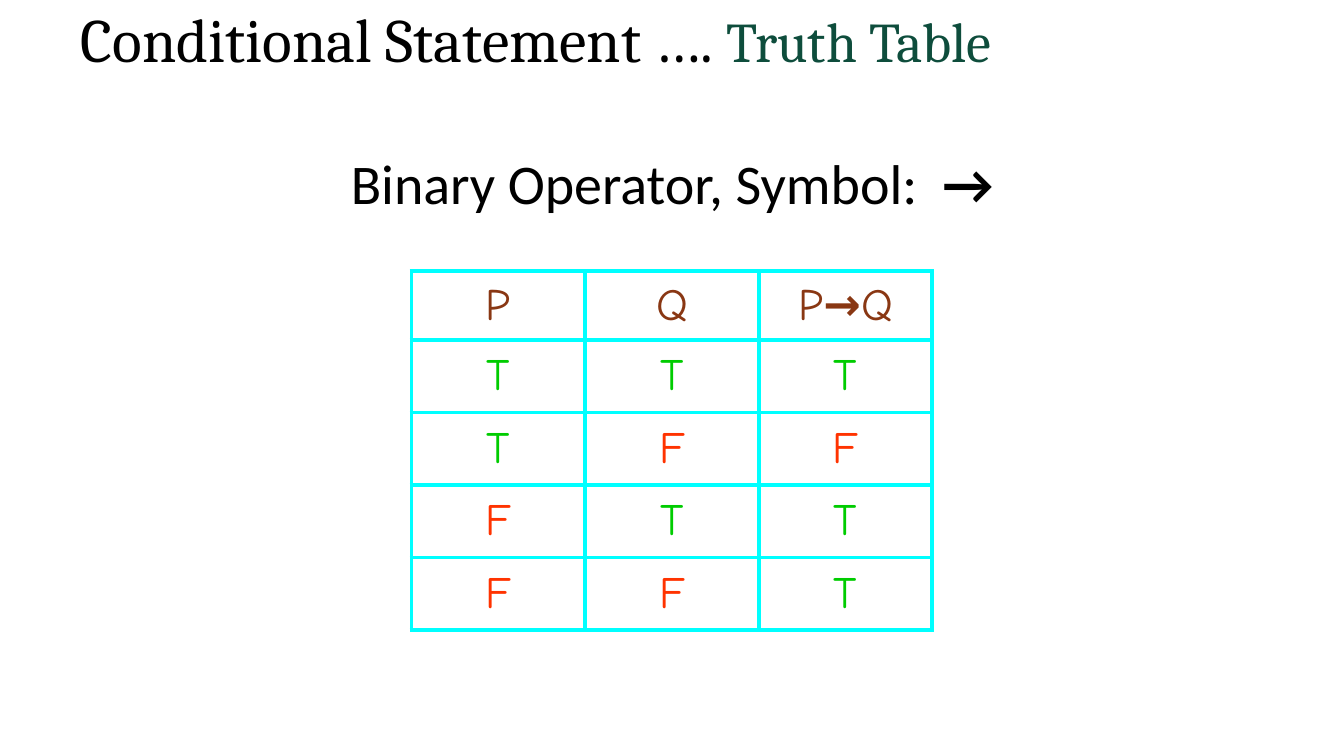
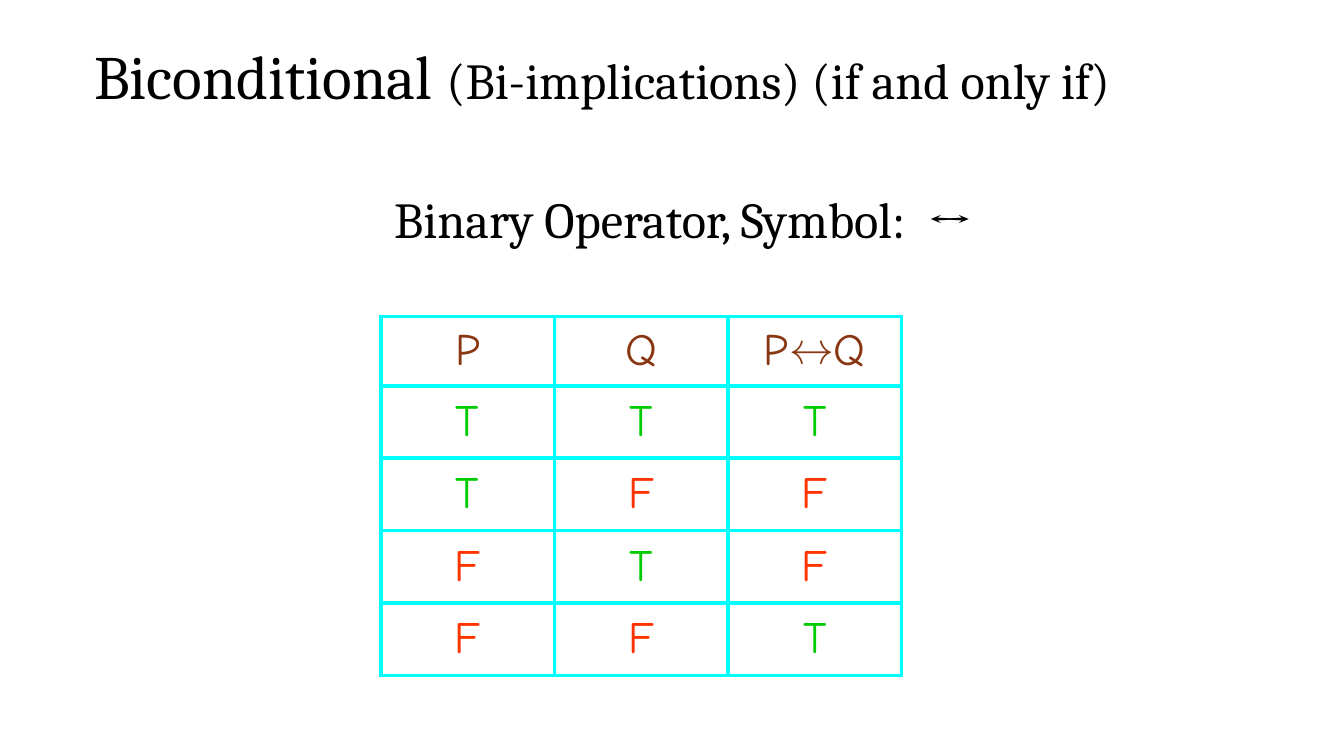
from dataclasses import dataclass
from itertools import product

from lxml import etree
from pptx import Presentation
from pptx.dml.color import RGBColor
from pptx.enum import text
from pptx.oxml import ns
from pptx.util import Pt


@dataclass(frozen=True)
class Theme:
    ink: str = "000000"
    accent: str = "0E4D3C"
    heading: str = "893713"
    true: str = "00CC00"
    false: str = "FF3300"
    grid: str = "00FFFF"
    serif: str = "Cambria"
    sans: str = "Calibri"
    hand: str = "Comic Neue"
    title_size: int = 44
    large: int = 40
    medium: int = 36
    cell_size: int = 32
    grid_width: int = 3
    line_spacing: float = 0.9


THEME = Theme()
COLUMN_WIDTH = 124
HEADER_HEIGHT = 49.5
ROW_HEIGHT = 51.75


def add_run(paragraph, words, font, size, color=THEME.ink, bold=False):
    run = paragraph.add_run()
    run.text = words
    run.font.name = font
    run.font.size = Pt(size)
    run.font.bold = bold
    run.font.color.rgb = RGBColor.from_string(color)
    return run


def prepare_placeholder(placeholder, box, anchor, alignment):
    """Move a placeholder and return its first paragraph, ready for runs."""
    placeholder.left, placeholder.top, placeholder.width, placeholder.height = map(Pt, box)
    frame = placeholder.text_frame
    frame.word_wrap = True
    frame.auto_size = text.MSO_AUTO_SIZE.NONE
    frame.vertical_anchor = anchor
    paragraph = frame.paragraphs[0]
    paragraph.alignment = alignment
    paragraph.line_spacing = THEME.line_spacing
    return paragraph


def set_title(slide, box, pieces):
    """Fill the title from (words, size, color) pieces."""
    paragraph = prepare_placeholder(
        slide.shapes.title, box, text.MSO_ANCHOR.MIDDLE, text.PP_ALIGN.LEFT)
    for words, size, color in pieces:
        add_run(paragraph, words, THEME.serif, size, color)


def set_operator_line(slide, box, symbol, font, size):
    paragraph = prepare_placeholder(
        slide.placeholders[1], box, text.MSO_ANCHOR.TOP, text.PP_ALIGN.CENTER)
    paragraph.space_before = Pt(0)
    properties = paragraph._p.get_or_add_pPr()
    properties.set("marL", "0")
    properties.set("indent", "0")
    etree.SubElement(properties, ns.qn("a:buNone"))
    add_run(paragraph, "Binary Operator, Symbol:", font, size)
    gap = add_run(paragraph, " ", font, size)
    # Letter spacing, in hundredths of a point, doubles the width of the space.
    gap.font._element.set("spc", str(round(size * 22)))
    add_run(paragraph, symbol, font, size, bold=True)


def set_borders(cell):
    properties = cell._tc.get_or_add_tcPr()
    for position, side in enumerate(("a:lnL", "a:lnR", "a:lnT", "a:lnB")):
        line = etree.Element(ns.qn(side), w=str(Pt(THEME.grid_width)))
        fill = etree.SubElement(line, ns.qn("a:solidFill"))
        etree.SubElement(fill, ns.qn("a:srgbClr"), val=THEME.grid)
        properties.insert(position, line)


def fill_cell(cell, pieces):
    """Fill a table cell from (words, color, bold) pieces."""
    cell.fill.background()
    set_borders(cell)
    cell.vertical_anchor = text.MSO_ANCHOR.MIDDLE
    paragraph = cell.text_frame.paragraphs[0]
    paragraph.alignment = text.PP_ALIGN.CENTER
    for words, color, bold in pieces:
        add_run(paragraph, words, THEME.hand, THEME.cell_size, color, bold)


def truth_piece(value):
    return ("T", THEME.true, False) if value else ("F", THEME.false, False)


def add_truth_table(slide, left, top, symbol, operator):
    p, q = ((name, THEME.heading, False) for name in "PQ")
    rows = [[[p], [q], [p, (symbol, THEME.heading, True), q]]]
    for first, second in product((True, False), repeat=2):
        values = first, second, operator(first, second)
        rows.append([[truth_piece(value)] for value in values])

    heights = [HEADER_HEIGHT] + [ROW_HEIGHT] * (len(rows) - 1)
    columns = len(rows[0])
    table = slide.shapes.add_table(
        len(rows), columns, Pt(left), Pt(top),
        Pt(columns * COLUMN_WIDTH), Pt(sum(heights))).table
    table.first_row = False
    table.horz_banding = False
    for column in table.columns:
        column.width = Pt(COLUMN_WIDTH)
    for row, height, contents in zip(table.rows, heights, rows):
        row.height = Pt(height)
        for cell, pieces in zip(row.cells, contents):
            fill_cell(cell, pieces)


def add_conditional_slide(deck):
    slide = deck.slides.add_slide(deck.slide_layouts[1])
    set_title(slide, (50.5, 0, 756, 60.5), [
        ("Conditional Statement …. ", THEME.title_size, THEME.ink),
        ("Truth Table", THEME.large, THEME.accent)])
    set_operator_line(slide, (162, 108, 636, 66), "→", THEME.sans, THEME.large)
    add_truth_table(slide, 294, 193.5, "→", lambda p, q: not p or q)


def add_biconditional_slide(deck):
    slide = deck.slides.add_slide(deck.slide_layouts[1])
    set_title(slide, (60, 30, 856, 54), [
        ("Biconditional ", THEME.title_size, THEME.ink),
        ("(Bi-implications) (if and only if)", THEME.medium, THEME.ink)])
    set_operator_line(slide, (113, 136, 750, 66), "↔", THEME.serif, THEME.medium)
    add_truth_table(slide, 272, 226, "↔", lambda p, q: p == q)


def main():
    deck = Presentation()
    deck.slide_width, deck.slide_height = Pt(960), Pt(540)
    add_conditional_slide(deck)
    add_biconditional_slide(deck)
    deck.save("out.pptx")


if __name__ == "__main__":
    main()
